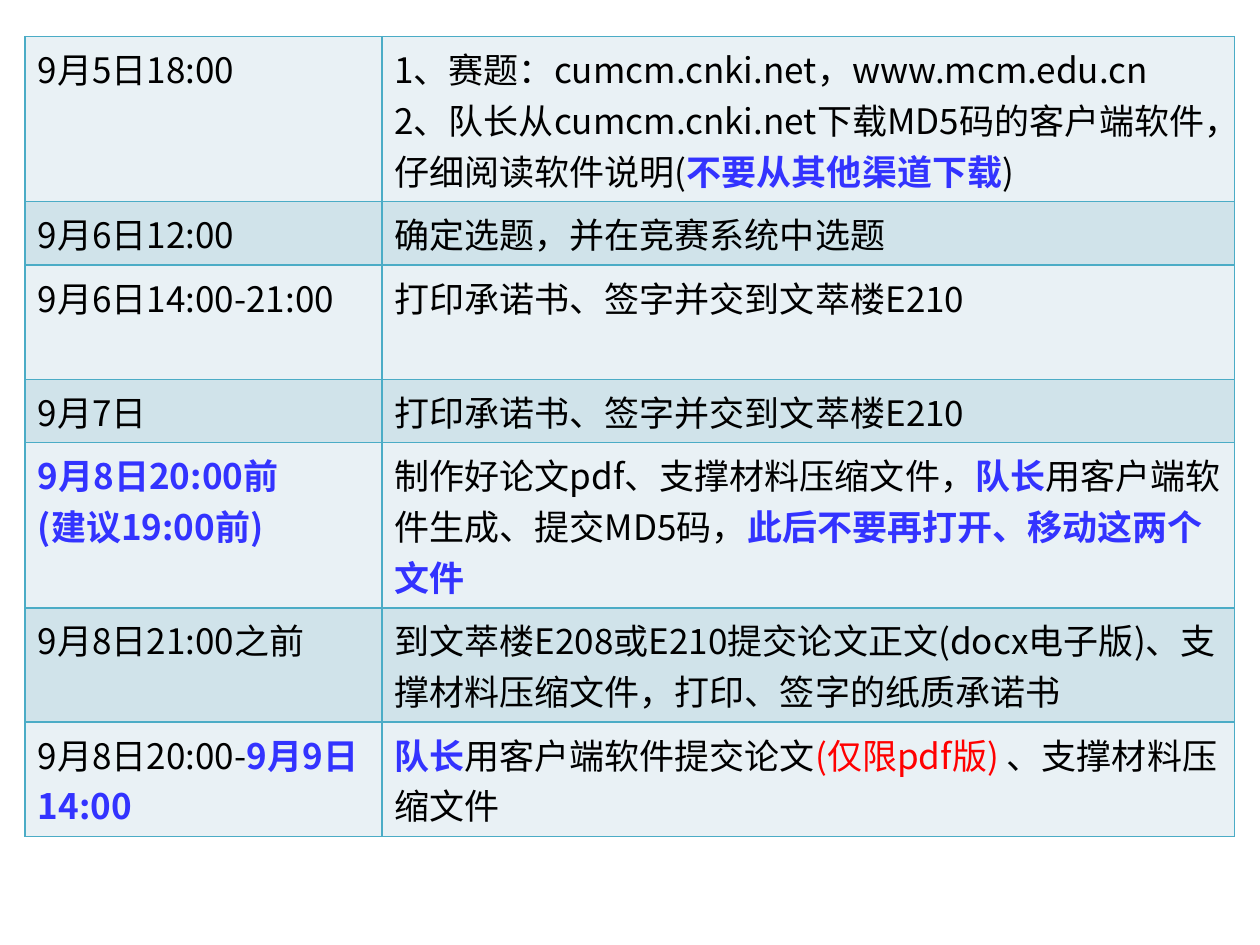
"""Build a one-slide timetable of contest deadlines."""
from lxml.etree import SubElement
from pptx import Presentation
from pptx.dml.color import RGBColor as RGB
from pptx.oxml.ns import qn
from pptx.util import Inches, Pt

THEME = {
    "font": "Noto Sans CJK SC",
    "size": 20,
    "border": "4BACC6",
    "border_width": 1,
    "bands": ("E9F1F5", "D0E3EA"),
    "plain": ("000000", False),
    "key": ("3333FF", True),
    "warn": ("FF0000", False),
}

LEFT, TOP, WIDTH, HEIGHT = 0.2, 0.29, 9.61, 5.03
COLUMNS = (2.83, 6.77)
ROWS = (0.41, 0.41, 0.38, 0.38, 0.41, 0.41, 0.41)


def key(text):
    return text, "key"


def warn(text):
    return text, "warn"


SCHEDULE = [
    ([["9月5日18:00"]],
     [["1、赛题：cumcm.cnki.net，www.mcm.edu.cn"],
      ["2、队长从cumcm.cnki.net下载MD5码的客户端软件，仔细阅读软件说明(",
       key("不要从其他渠道下载"), ")"]]),
    ([["9月6日12:00"]],
     [["确定选题，并在竞赛系统中选题"]]),
    ([["9月6日14:00-21:00"]],
     [["打印承诺书、签字并交到文萃楼E210"]]),
    ([["9月7日"]],
     [["打印承诺书、签字并交到文萃楼E210"]]),
    ([[key("9月8日20:00前")], [key("(建议19:00前)")]],
     [["制作好论文pdf、支撑材料压缩文件，", key("队长"),
       "用客户端软件生成、提交MD5码，", key("此后不要再打开、移动这两个文件")]]),
    ([["9月8日21:00之前"]],
     [["到文萃楼E208或E210提交论文正文(docx电子版)、支撑材料压缩文件，打印、签字的纸质承诺书"]]),
    ([["9月8日20:00-", key("9月9日14:00")]],
     [[key("队长"), "用客户端软件提交论文", warn("(仅限pdf版) "), "、支撑材料压缩文件"]]),
]


def set_borders(cell):
    tc_pr = cell._tc.get_or_add_tcPr()
    for side in ("lnL", "lnR", "lnT", "lnB"):
        ln = SubElement(tc_pr, qn(f"a:{side}"), w=str(Pt(THEME["border_width"])))
        fill = SubElement(ln, qn("a:solidFill"))
        SubElement(fill, qn("a:srgbClr"), val=THEME["border"])


def write_paragraph(p, parts):
    p.font.size = Pt(THEME["size"])
    p.font.name = THEME["font"]
    for part in parts:
        text, style = (part, "plain") if isinstance(part, str) else part
        color, bold = THEME[style]
        r = p.add_run()
        r.text = text
        r.font.bold = bold
        r.font.color.rgb = RGB.from_string(color)
        SubElement(r.font._element, qn("a:ea"), typeface=THEME["font"])


def fill_cell(cell, paragraphs, color):
    set_borders(cell)
    cell.fill.solid()
    cell.fill.fore_color.rgb = RGB.from_string(color)
    tf = cell.text_frame
    for i, parts in enumerate(paragraphs):
        write_paragraph(tf.add_paragraph() if i else tf.paragraphs[0], parts)


def main():
    prs = Presentation()
    prs.slide_width, prs.slide_height = Inches(10), Inches(7.5)
    s = prs.slides.add_slide(prs.slide_layouts[6])
    frame = s.shapes.add_table(len(ROWS), len(COLUMNS), Inches(LEFT), Inches(TOP),
                               Inches(WIDTH), Inches(HEIGHT))
    table = frame.table
    table.first_row = table.horz_banding = False
    for column, width in zip(table.columns, COLUMNS):
        column.width = Inches(width)
    for row, height in zip(table.rows, ROWS):
        row.height = Inches(height)
    frame.height = Inches(HEIGHT)
    for i, entry in enumerate(SCHEDULE):
        for j, paragraphs in enumerate(entry):
            fill_cell(table.cell(i, j), paragraphs, THEME["bands"][i % 2])
    prs.save("out.pptx")


if __name__ == "__main__":
    main()
